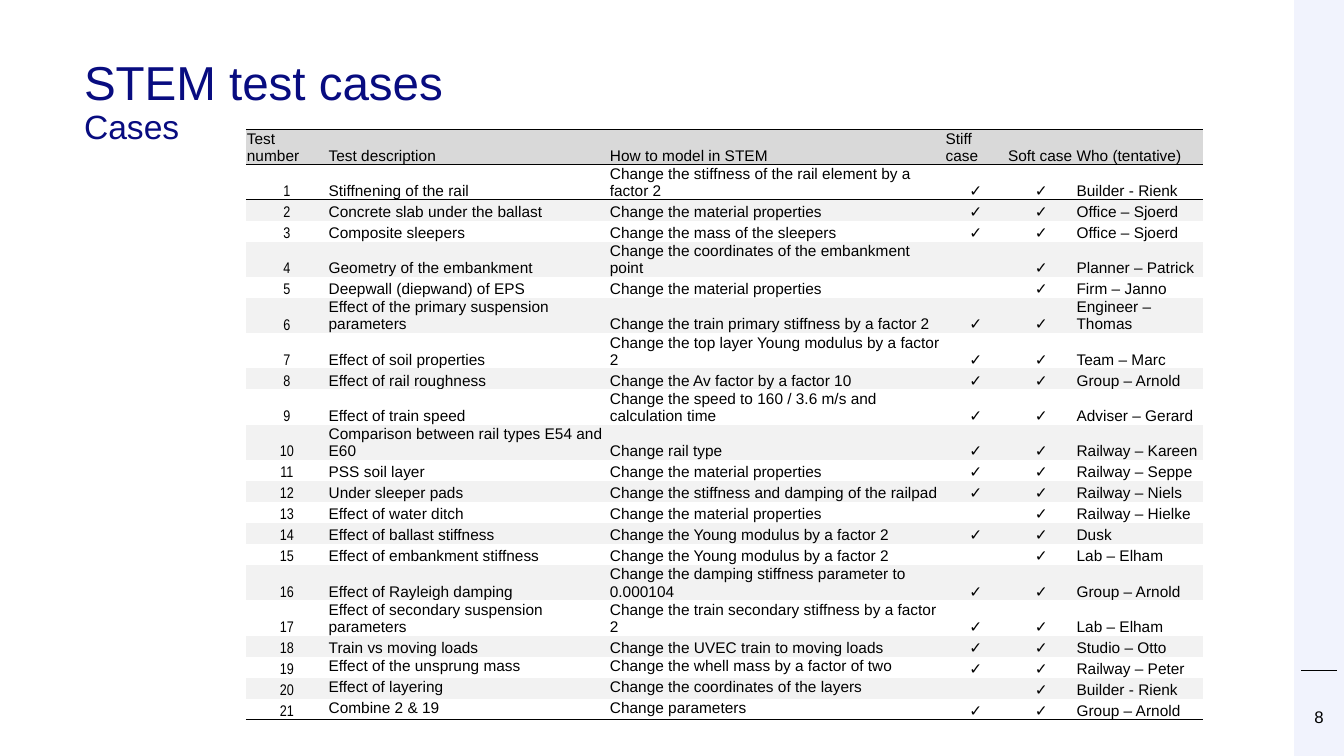
"""Build the STEM test cases slide with its table of cases."""
from dataclasses import dataclass

import lxml.etree
import pptx
import pptx.dml.color
import pptx.enum.shapes
import pptx.enum.text
import pptx.oxml.ns
import pptx.slide
import pptx.table
import pptx.text.text
import pptx.util

Pt = pptx.util.Pt
qn = pptx.oxml.ns.qn
ALIGN = pptx.enum.text.PP_ALIGN
ANCHOR = pptx.enum.text.MSO_ANCHOR


@dataclass(frozen=True)
class Theme:
    navy: str = "080C80"
    black: str = "000000"
    white: str = "FFFFFF"
    side_band: str = "F1F3FD"
    header_fill: str = "D9D9D9"
    stripe_fill: str = "F2F2F2"
    font: str = "Arial"
    number_font: str = "Arial Narrow"
    title_size: float = 34
    subtitle_size: float = 24
    page_number_size: float = 12
    table_size: float = 11
    no_grid_style: str = "{2D5ABB26-0587-4C30-8999-92F81FD0307C}"


@dataclass(frozen=True)
class Case:
    description: str
    model: str
    who: str
    stiff: bool = True
    soft: bool = True
    anchor: ANCHOR = ANCHOR.BOTTOM


@dataclass(frozen=True)
class CellLook:
    fill: str
    align: ALIGN = ALIGN.LEFT
    anchor: ANCHOR = ANCHOR.BOTTOM
    font: str = "Arial"
    top_line: float = 0
    bottom_line: float = 0


THEME = Theme()
HEADINGS = ("Test number", "Test description", "How to model in STEM", "Stiff case", "Soft case", "Who (tentative)")
COLUMN_WIDTHS = (58.4, 200.9, 239.8, 44.6, 49, 90.8)
CENTRED_COLUMNS = (0, 3, 4)
ROW_HEIGHT = 15
MATERIAL = "Change the material properties"
YOUNG = "Change the Young modulus by a factor 2"
CASES = (
    Case("Stiffnening of the rail", "Change the stiffness of the rail element by a factor 2", "Builder - Rienk"),
    Case("Concrete slab under the ballast", MATERIAL, "Office – Sjoerd"),
    Case("Composite sleepers", "Change the mass of the sleepers", "Office – Sjoerd"),
    Case("Geometry of the embankment", "Change the coordinates of the embankment point", "Planner – Patrick", stiff=False),
    Case("Deepwall (diepwand) of EPS", MATERIAL, "Firm – Janno", stiff=False),
    Case("Effect of the primary suspension parameters", "Change the train primary stiffness by a factor 2", "Engineer – Thomas"),
    Case("Effect of soil properties", "Change the top layer Young modulus by a factor 2", "Team – Marc"),
    Case("Effect of rail roughness", "Change the Av factor by a factor 10", "Group – Arnold"),
    Case("Effect of train speed", "Change the speed to 160 / 3.6 m/s and calculation time", "Adviser – Gerard"),
    Case("Comparison between rail types E54 and E60", "Change rail type", "Railway – Kareen"),
    Case("PSS soil layer", MATERIAL, "Railway – Seppe"),
    Case("Under sleeper pads", "Change the stiffness and damping of the railpad", "Railway – Niels"),
    Case("Effect of water ditch", MATERIAL, "Railway – Hielke", stiff=False),
    Case("Effect of ballast stiffness", YOUNG, "Dusk"),
    Case("Effect of embankment stiffness", YOUNG, "Lab – Elham", stiff=False),
    Case("Effect of Rayleigh damping", "Change the damping stiffness parameter to 0.000104", "Group – Arnold"),
    Case("Effect of secondary suspension parameters", "Change the train secondary stiffness by a factor 2", "Lab – Elham"),
    Case("Train vs moving loads", "Change the UVEC train to moving loads", "Studio – Otto"),
    Case("Effect of the unsprung mass", "Change the whell mass by a factor of two", "Railway – Peter", anchor=ANCHOR.TOP),
    Case("Effect of layering", "Change the coordinates of the layers", "Builder - Rienk", stiff=False, anchor=ANCHOR.TOP),
    Case("Combine 2 & 19", "Change parameters", "Group – Arnold", anchor=ANCHOR.TOP),
)


def colour(value: str) -> pptx.dml.color.RGBColor:
    return pptx.dml.color.RGBColor.from_string(value)


def style_paragraph(para: pptx.text.text._Paragraph, size: float, ink: str, font: str, align: ALIGN) -> None:
    para.alignment = align
    para.font.size = Pt(size)
    para.font.name = font
    para.font.color.rgb = colour(ink)


def clear_margins(frame: pptx.text.text.TextFrame) -> None:
    frame.margin_left = frame.margin_right = frame.margin_top = frame.margin_bottom = 0
    frame.word_wrap = True
    frame.auto_size = pptx.enum.text.MSO_AUTO_SIZE.NONE
    frame.vertical_anchor = ANCHOR.TOP


def draw_title(page: pptx.slide.Slide) -> None:
    title = page.shapes.title
    title.left, title.top, title.width, title.height = Pt(60), Pt(42.5), Pt(828), Pt(73.5)
    clear_margins(title.text_frame)
    para = title.text_frame.paragraphs[0]
    para.line_spacing = 0.9
    style_paragraph(para, THEME.title_size, THEME.navy, THEME.font, ALIGN.LEFT)
    para.add_run().text = "STEM test cases"
    para.add_line_break()
    line_break = para._p.find(qn("a:br"))
    lxml.etree.SubElement(line_break, qn("a:rPr"), sz=str(THEME.title_size * 100))
    span = para.add_run()
    span.text = "Cases"
    span.font.size = Pt(THEME.subtitle_size)


def draw_side_band(page: pptx.slide.Slide) -> None:
    left, width = 924.5, 35.5
    band = page.shapes.add_shape(pptx.enum.shapes.MSO_SHAPE.RECTANGLE, Pt(left), 0, Pt(width), Pt(540))
    band.shadow.inherit = False
    band.fill.solid()
    band.fill.fore_color.rgb = colour(THEME.side_band)
    band.line.fill.background()

    rule = page.shapes.add_connector(
        pptx.enum.shapes.MSO_CONNECTOR.STRAIGHT, Pt(929.5), Pt(478.8), Pt(954.7), Pt(478.8))
    rule.line.color.rgb = colour(THEME.black)
    rule.line.width = Pt(0.5)
    lxml.etree.SubElement(rule._element.spPr, qn("a:effectLst"))

    box = page.shapes.add_textbox(Pt(left), Pt(504.7), Pt(width), Pt(14.4))
    clear_margins(box.text_frame)
    para = box.text_frame.paragraphs[0]
    para.text = "8"
    style_paragraph(para, THEME.page_number_size, THEME.black, THEME.font, ALIGN.CENTER)


def add_border(cell: pptx.table._Cell, tag: str, width: float) -> None:
    border = lxml.etree.SubElement(cell._tc.get_or_add_tcPr(), qn(tag), w=str(Pt(width)))
    fill = lxml.etree.SubElement(border, qn("a:solidFill"))
    lxml.etree.SubElement(fill, qn("a:srgbClr"), val=THEME.black)


def fill_cell(cell: pptx.table._Cell, text: str, look: CellLook) -> None:
    if look.top_line:
        add_border(cell, "a:lnT", look.top_line)
    if look.bottom_line:
        add_border(cell, "a:lnB", look.bottom_line)
    cell.fill.solid()
    cell.fill.fore_color.rgb = colour(look.fill)
    cell.margin_left = cell.margin_right = cell.margin_top = Pt(0.7)
    cell.margin_bottom = 0
    cell.vertical_anchor = look.anchor
    para = cell.text_frame.paragraphs[0]
    if text:
        para.text = text
    else:
        para._p.get_or_add_endParaRPr().set("sz", str(THEME.table_size * 100))
    style_paragraph(para, THEME.table_size, THEME.black, look.font, look.align)


def draw_case_table(page: pptx.slide.Slide) -> None:
    row_count = len(CASES) + 1
    table = page.shapes.add_table(
        row_count, len(HEADINGS), Pt(175.7), Pt(92.2), Pt(sum(COLUMN_WIDTHS)), Pt(ROW_HEIGHT * row_count)).table
    table.first_row = table.horz_banding = False
    table._tbl.tblPr.find(qn("a:tableStyleId")).text = THEME.no_grid_style
    for column, width in zip(table.columns, COLUMN_WIDTHS):
        column.width = Pt(width)
    for row in table.rows:
        row.height = Pt(ROW_HEIGHT)

    for column, heading in enumerate(HEADINGS):
        fill_cell(table.cell(0, column), heading, CellLook(THEME.header_fill, top_line=1, bottom_line=1))
    for number, case in enumerate(CASES, start=1):
        ticks = ["✓" if done else "" for done in (case.stiff, case.soft)]
        texts = (str(number), case.description, case.model, *ticks, case.who)
        for column, text in enumerate(texts):
            look = CellLook(
                fill=THEME.white if number % 2 else THEME.stripe_fill,
                align=ALIGN.CENTER if column in CENTRED_COLUMNS else ALIGN.LEFT,
                anchor=case.anchor if column in (1, 2) else ANCHOR.BOTTOM,
                font=THEME.font if column else THEME.number_font,
                top_line=1 if number == 1 else 0,
                bottom_line=0.5 if number == len(CASES) else 0,
            )
            fill_cell(table.cell(number, column), text, look)


def main() -> None:
    deck = pptx.Presentation()
    deck.slide_width, deck.slide_height = Pt(960), Pt(540)
    page = deck.slides.add_slide(deck.slide_layouts.get_by_name("Title Only"))
    draw_side_band(page)
    draw_title(page)
    draw_case_table(page)
    deck.save("out.pptx")


if __name__ == "__main__":
    main()
